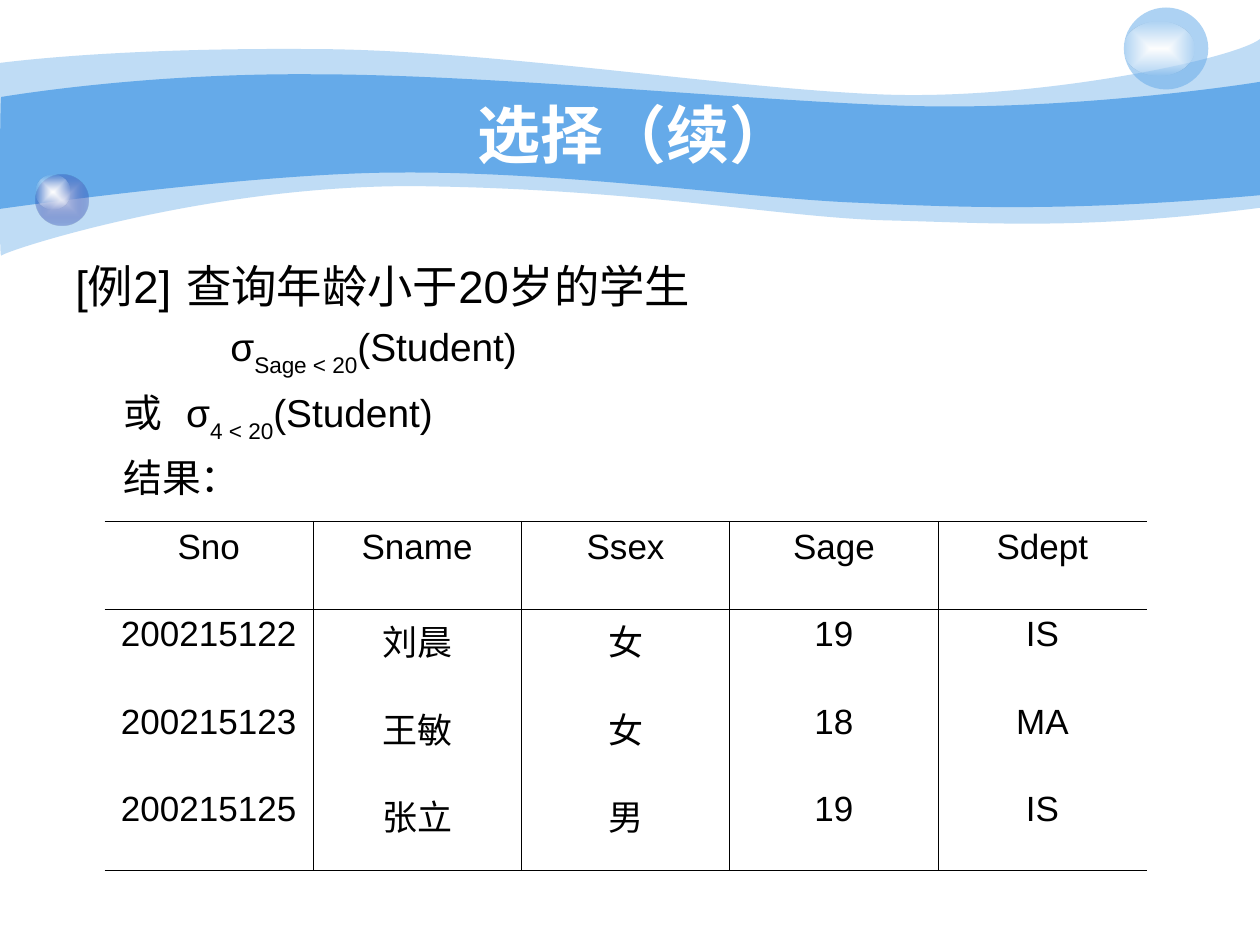
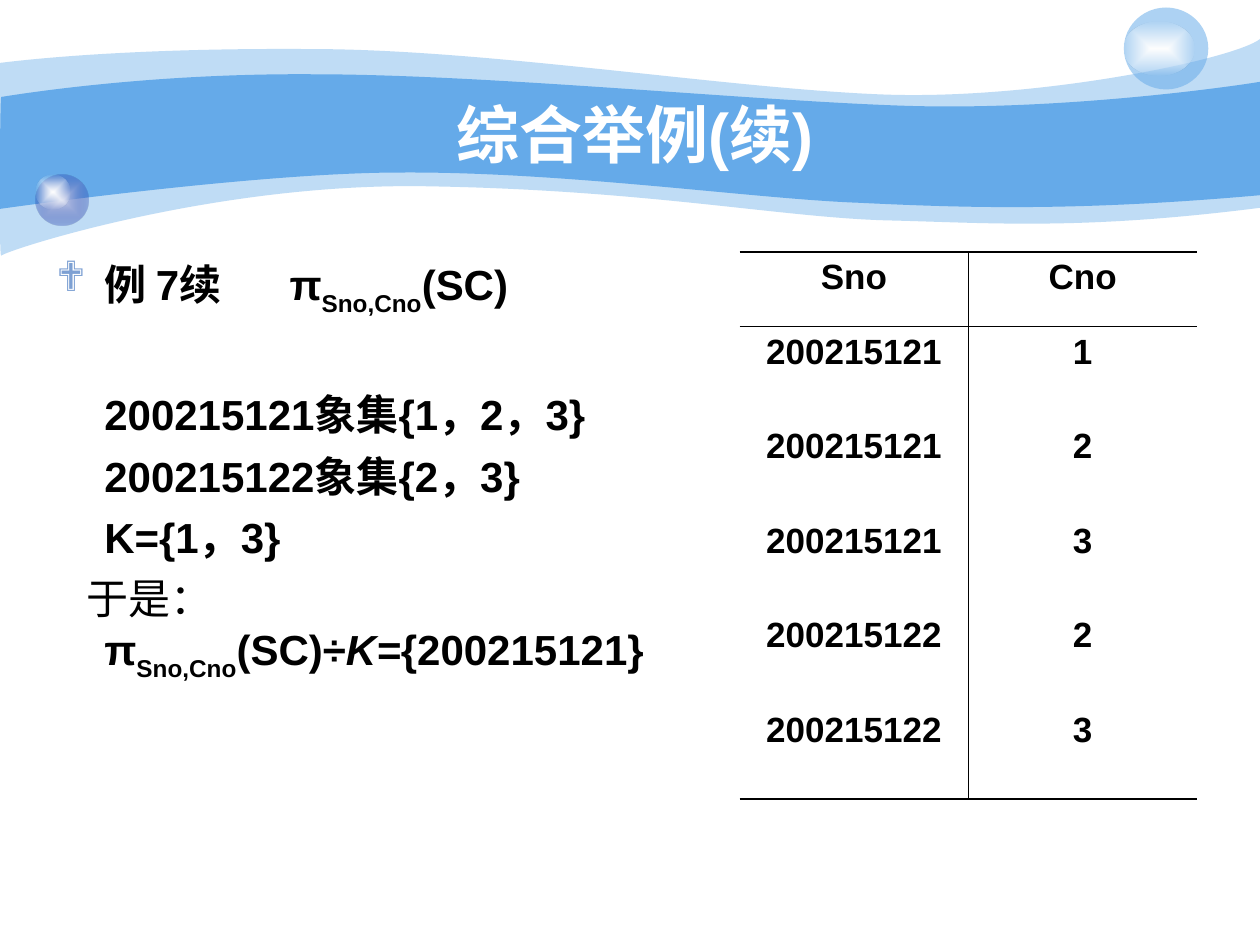
from lxml import etree
from pptx import Presentation
from pptx import util as u
from pptx.dml.color import RGBColor
from pptx.enum import shapes, text
from pptx.oxml.ns import qn

COLORS = {"sky": "65AAE9", "white": "FFFFFF", "black": "000000",
          "lavender": "C7CEE9", "navy": "233DA9", "bullet": "7DA0D3"}
FONT = "Arial"
COLUMNS, ROWS = 10, 7.5
UNIT = u.Inches(1)
THIN, THICK = 0.45, 1.08
HEADER = (0, 0, COLUMNS, 2.25)
TITLE = (1, 0.75, 8.08, 0.62)

OUTER_BAND = [(0, 0.5), [
    (0.24, 0.47, 1.07, 0.38, 2.47, 0.39), (3.86, 0.39, 5.75, 0.7, 6.99, 0.75),
    (8.22, 0.8, 9.8, 0.47, 10, 0.31), (10, 1.65),
    (8.58, 1.83, 7.87, 1.77, 7.05, 1.75), (6.22, 1.73, 5.15, 1.51, 3.43, 1.48),
    (1.72, 1.44, 0.04, 1.99, 0.01, 2.03), (-0.01, 2.08, 0, 0.75, 0, 0.5)]]
INNER_BAND = [(0.01, 0.77), [
    (0.02, 0.77, 1.1, 0.58, 2.48, 0.59), (3.86, 0.59, 5.95, 0.8, 7.18, 0.84),
    (8.41, 0.88, 9.76, 0.69, 10, 0.65), (10, 1.55),
    (8.53, 1.68, 7.65, 1.65, 6.82, 1.61), (5.99, 1.58, 4.47, 1.36, 3.17, 1.37),
    (2.03, 1.37, -0.02, 1.66, -0.01, 1.66), (0, 1.66, 0, 0.77, 0.01, 0.77)]]
GLOW = [("white", 100), ("white", 0)]
ORBS = [
    ((0.28, 1.39, 0.42, 0.4), [("lavender", 100), ("navy", 31)]),
    ((0.28, 1.39, 0.28, 0.27), GLOW),
    ((8.92, 0.06, 0.67, 0.65), [("sky", 53)]),
    ((8.92, 0.17, 0.56, 0.43), GLOW)]


def grid(*lengths):
    """Turn grid units into EMU."""
    return [u.Emu(round(length * UNIT)) for length in lengths]


def color(name):
    """Look up a colour by name."""
    return RGBColor.from_string(COLORS[name])


def add_child(parent, tag, **attributes):
    """Append a drawing element and return it."""
    return etree.SubElement(parent, qn(tag), {key: str(value) for key, value in attributes.items()})


def add_color(parent, name, opacity=100):
    """Append a colour with its opacity in percent."""
    element = add_child(parent, "a:srgbClr", val=COLORS[name])
    if opacity < 100:
        add_child(element, "a:alpha", val=opacity * 1000)


def paint(shape, stops):
    """Fill a shape with one colour or a gradient from its centre."""
    shape.shadow.inherit = False
    shape.line.fill.background()
    shape.fill.solid()
    properties = shape.element.spPr
    old_fill = properties.find(qn("a:solidFill"))
    if len(stops) == 1:
        new_fill = etree.Element(qn("a:solidFill"))
        add_color(new_fill, *stops[0])
    else:
        new_fill = etree.Element(qn("a:gradFill"))
        stop_list = add_child(new_fill, "a:gsLst")
        for position, stop in zip((0, 100000), stops):
            add_color(add_child(stop_list, "a:gs", pos=position), *stop)
        center = add_child(new_fill, "a:path", path="rect")
        add_child(center, "a:fillToRect", l=50000, t=50000, r=50000, b=50000)
    properties.replace(old_fill, new_fill)


def add_band(slide, origin, start, segments):
    """Draw an outline of lines and cubic curves."""
    left, top = origin
    points = [grid(left + x, top + y) for segment in segments
              for x, y in zip(segment[::2], segment[1::2])]
    builder = slide.shapes.build_freeform(*grid(left + start[0], top + start[1]))
    builder.add_line_segments(points)
    band = builder.convert_to_shape()
    lines = iter(list(band.element.spPr.iter(qn("a:lnTo"))))
    for segment in segments:
        if len(segment) == 6:
            steps = [next(lines) for _ in range(3)]
            curve = etree.Element(qn("a:cubicBezTo"))
            steps[0].addprevious(curve)
            for step in steps:
                curve.append(step[0])
                step.getparent().remove(step)
        else:
            next(lines)
    return band


def add_header(slide, box):
    """Draw the wavy bands and the glass orbs."""
    left, top = box[:2]
    for band, opacity in ((OUTER_BAND, 41), (INNER_BAND, 100)):
        paint(add_band(slide, (left, top), *band), [("sky", opacity)])
    for (x, y, width, height), stops in ORBS:
        orb = slide.shapes.add_shape(shapes.MSO_SHAPE.OVAL, *grid(left + x, top + y, width, height))
        paint(orb, stops)


def add_run(paragraph, words, size, ink="black", bold=False, italic=False, subscript=False):
    """Append one styled run."""
    run = paragraph.add_run()
    run.text = words
    font = run.font
    font.name, font.size, font.bold, font.italic = FONT, u.Pt(size), bold, italic
    font.color.rgb = color(ink)
    if subscript:
        run._r.get_or_add_rPr().set("baseline", "-30000")


def format_paragraph(paragraph, left=0.38, first=0, tabs=(), bullet=None):
    """Set indents, tab stops and the bullet."""
    properties = paragraph._p.get_or_add_pPr()
    properties.set("marL", str(grid(left)[0]))
    properties.set("indent", str(grid(first)[0]))
    if bullet:
        add_child(add_child(properties, "a:buClr"), "a:srgbClr", val=COLORS["bullet"])
        add_child(properties, "a:buFont", typeface="Wingdings", charset=2)
        add_child(properties, "a:buChar", char=bullet)
    else:
        add_child(properties, "a:buNone")
    if tabs:
        tab_list = add_child(properties, "a:tabLst")
        for tab in tabs:
            add_child(tab_list, "a:tab", pos=grid(tab)[0], algn="l")


def add_text_frame(slide, box):
    """Add a wrapping text box and return its frame."""
    frame = slide.shapes.add_textbox(*grid(*box)).text_frame
    frame.word_wrap = True
    return frame


def add_title(slide, box, words):
    """Write the centred slide title."""
    frame = add_text_frame(slide, box)
    frame.vertical_anchor = text.MSO_ANCHOR.MIDDLE
    paragraph = frame.paragraphs[0]
    paragraph.alignment = text.PP_ALIGN.CENTER
    add_run(paragraph, words, 36, "white", bold=True)


def add_body(slide, box, lines, line_spacing=1.0):
    """Write paragraphs given as layout, space before and runs."""
    frame = add_text_frame(slide, box)
    for index, (layout, space, runs) in enumerate(lines):
        paragraph = frame.add_paragraph() if index else frame.paragraphs[0]
        format_paragraph(paragraph, **layout)
        paragraph.line_spacing = line_spacing
        if index:
            paragraph.space_before = u.Pt(space)
        for words, size, style in runs:
            add_run(paragraph, words, size, **style)


def add_border(cell, side, weight):
    """Draw one side of a cell, or hide it when the weight is zero."""
    line = add_child(cell._tc.get_or_add_tcPr(), "a:ln" + side, w=u.Pt(weight))
    if weight:
        add_color(add_child(line, "a:solidFill"), "black")
    else:
        add_child(line, "a:noFill")


def add_relation(slide, box, rows, row_heights, bottom, bold=False):
    """Draw a relation as a table ruled between columns and under the header."""
    last_row, last_column = len(rows) - 1, len(rows[0]) - 1
    frame = slide.shapes.add_table(len(rows), len(rows[0]), *grid(*box))
    table = frame.table
    table.first_row = table.horz_banding = False
    for column in table.columns:
        column.width = grid(box[2] / len(rows[0]))[0]
    for r, (values, height) in enumerate(zip(rows, row_heights)):
        table.rows[r].height = grid(height)[0]
        for c, value in enumerate(values):
            cell = table.cell(r, c)
            add_border(cell, "L", THIN if c else 0)
            add_border(cell, "R", THIN if c < last_column else 0)
            add_border(cell, "T", {0: THICK, 1: THIN}.get(r, 0))
            add_border(cell, "B", {0: THIN, last_row: bottom}.get(r, 0))
            cell.fill.background()
            paragraph = cell.text_frame.paragraphs[0]
            paragraph.alignment = text.PP_ALIGN.CENTER
            add_run(paragraph, value, 20, bold=bold)


def add_slide(presentation, title):
    """Add a blank slide with the shared header and title."""
    slide = presentation.slides.add_slide(presentation.slide_layouts[6])
    add_header(slide, HEADER)
    add_title(slide, TITLE, title)
    return slide


def build_selection(presentation):
    """Build the selection example with its result."""
    slide = add_slide(presentation, "选择（续）")
    large, normal, low = 25.9, 22.2, {"subscript": True}
    add_body(slide, (0.5, 2, 9, 2.06), [
        ({"first": -0.38, "tabs": [1.22]}, 0, [("[例2]\t查询年龄小于20岁的学生", large, {})]),
        ({"left": 1.23}, 6, [("σ", normal, {}), ("Sage < 20", normal, low), ("(Student)", normal, {})]),
        ({"tabs": [1.17]}, 6,
         [("或\tσ", normal, {}), ("4 < 20", normal, low), ("(Student)", normal, {})]),
        ({}, 6, [("结果：", normal, {})])])
    add_relation(slide, (0.83, 4.14, 8.27, 2.77), [
        ("Sno", "Sname", "Ssex", "Sage", "Sdept"),
        ("200215122", "刘晨", "女", "19", "IS"),
        ("200215123", "王敏", "女", "18", "MA"),
        ("200215125", "张立", "男", "19", "IS")], [2.77 / 4] * 4, THIN)


def build_division(presentation):
    """Build the division example with its projection."""
    slide = add_slide(presentation, "综合举例(续)")
    size, strong = 24, {"bold": True}
    low, slanted = {"bold": True, "subscript": True}, {"bold": True, "italic": True}
    projection = [("π", size, strong), ("Sno,Cno", size, low)]
    add_body(slide, (0.35, 2, 5.2, 4.92), [
        ({"first": -0.38, "tabs": [1.85], "bullet": "❖"}, 0,
         [("例 7续\t", size, strong), *projection, ("(SC)", size, strong)]),
        ({}, 47.4, [("200215121象集{1，2，3}", size, strong)]),
        ({}, 9, [("200215122象集{2，3}", size, strong)]),
        ({}, 9, [("K={1，3}", size, strong)]),
        ({"first": -0.14}, 9,
         [("于是：", size, {}), *projection,
          ("(SC)÷", size, strong), ("K=", size, slanted), ("{200215121}", size, strong)])],
        line_spacing=0.9)
    pairs = [("200215121", "1"), ("200215121", "2"), ("200215121", "3"),
             ("200215122", "2"), ("200215122", "3")]
    add_relation(slide, (5.87, 2, 3.63, 4.35), [("Sno", "Cno"), *pairs],
                 [0.59] + [0.75] * len(pairs), THICK, bold=True)


def main():
    """Build and save the presentation."""
    presentation = Presentation()
    presentation.slide_width, presentation.slide_height = grid(COLUMNS, ROWS)
    build_selection(presentation)
    build_division(presentation)
    presentation.save("out.pptx")


if __name__ == "__main__":
    main()
